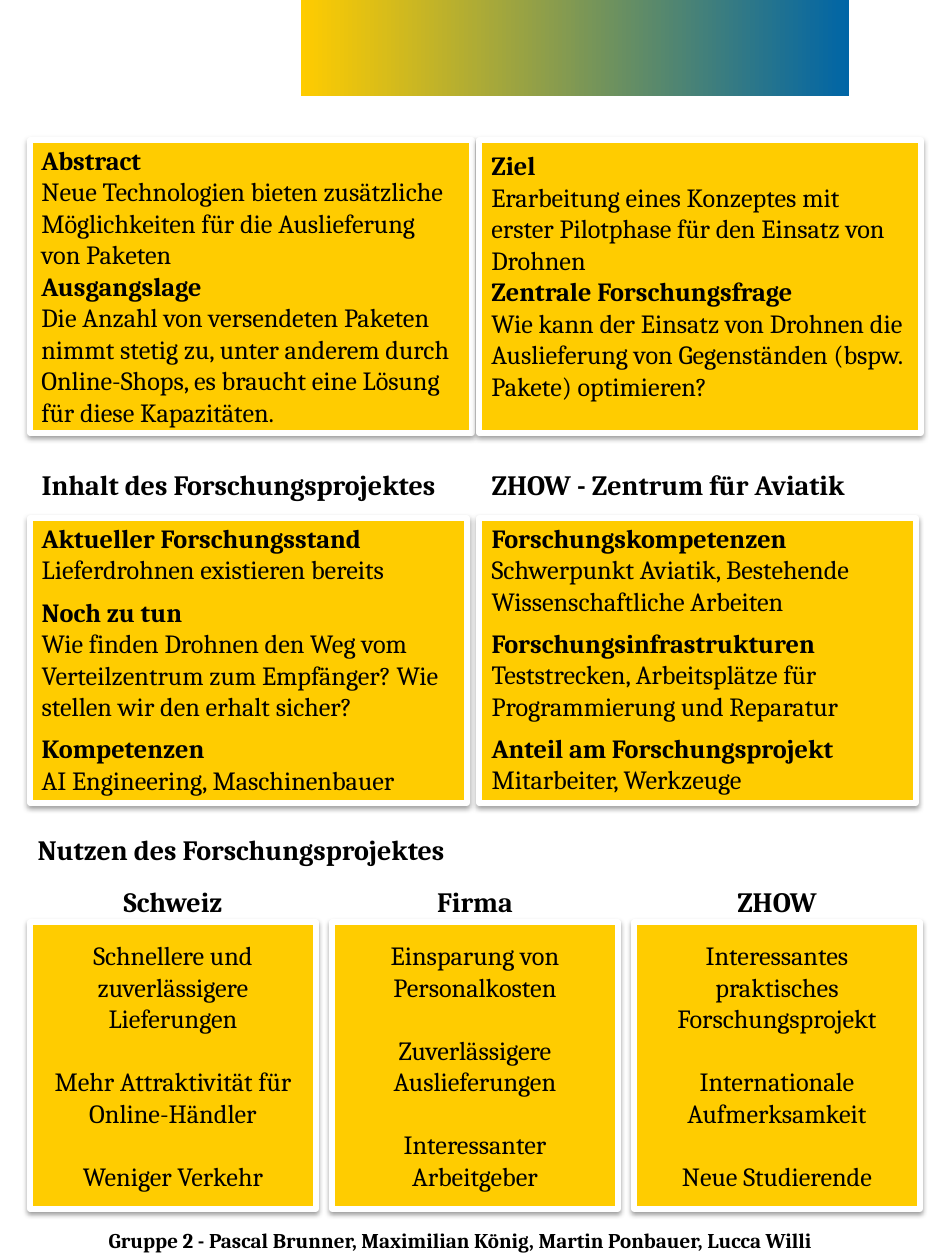
from dataclasses import dataclass
from typing import Any

from lxml import etree
from pptx import Presentation
from pptx import util as u
from pptx.dml.color import RGBColor
from pptx.enum import shapes, text
from pptx.oxml import ns

EMU_PER_PX = 914400 / 126
LEFT, CENTER = text.PP_ALIGN.LEFT, text.PP_ALIGN.CENTER
MIDDLE, TOP = text.MSO_ANCHOR.MIDDLE, text.MSO_ANCHOR.TOP


@dataclass(frozen=True)
class Theme:
    font: str = "Cambria"
    yellow: RGBColor = RGBColor(0xFF, 0xCC, 0x00)
    blue: RGBColor = RGBColor(0x00, 0x65, 0xA6)
    white: RGBColor = RGBColor(0xFF, 0xFF, 0xFF)
    black: RGBColor = RGBColor(0, 0, 0)
    heading: int = 16
    body: int = 15
    footer: int = 12


@dataclass(frozen=True)
class Area:
    left: int
    top: int
    width: int
    height: int

    def emu(self) -> list[u.Emu]:
        return [px(n) for n in (self.left, self.top, self.width, self.height)]


@dataclass(frozen=True)
class Line:
    words: str
    size: int
    bold: bool = False
    after: int = 0


@dataclass(frozen=True)
class Benefit:
    name: str
    points: tuple[str, ...]


THEME = Theme()


def px(length: int) -> u.Emu:
    return u.Emu(round(length * EMU_PER_PX))


def assign(target: Any, values: dict[str, Any]) -> None:
    for name, value in values.items():
        setattr(target, name, value)


def topics(*pairs: tuple[str, str], gap: int = 0) -> list[Line]:
    """Bold topic followed by its plain explanation, for each pair."""
    lines = []
    for number, (topic, detail) in enumerate(pairs, 1):
        lines.append(Line(topic, THEME.body, bold=True))
        lines.append(Line(detail, THEME.body, after=gap if number < len(pairs) else 0))
    return lines


def heading(words: str, after: int = 0) -> Line:
    return Line(words, THEME.heading, bold=True, after=after)


def write(box: Any, lines: list[Line], align: Any = LEFT, anchor: Any = MIDDLE,
          spacing: Any = 1.0) -> None:
    frame = box.text_frame
    assign(frame, {"word_wrap": True, "auto_size": text.MSO_AUTO_SIZE.NONE,
                   "vertical_anchor": anchor})
    for number, line in enumerate(lines):
        para = frame.add_paragraph() if number else frame.paragraphs[0]
        assign(para, {"alignment": align, "line_spacing": spacing,
                      "space_before": u.Pt(0), "space_after": u.Pt(line.after)})
        span = para.add_run()
        span.text = line.words
        assign(span.font, {"name": THEME.font, "size": u.Pt(line.size), "bold": line.bold})
        span.font.color.rgb = THEME.black


def text_box(page: Any, area: Area, lines: list[Line], **format_values: Any) -> None:
    write(page.shapes.add_textbox(*area.emu()), lines, **format_values)


def fill_placeholder(page: Any, index: int, area: Area, lines: list[Line]) -> None:
    """Move a template placeholder in front of the panels and fill it without bullets."""
    box = page.placeholders[index]
    assign(box, dict(zip(("left", "top", "width", "height"), area.emu())))
    page.shapes._spTree.append(box._element)
    write(box, lines)
    for para in box.text_frame.paragraphs:
        properties = para._p.get_or_add_pPr()
        properties.set("marL", "0")
        properties.set("indent", "0")
        etree.SubElement(properties, ns.qn("a:buNone"))


def panel(page: Any, area: Area) -> Any:
    """Yellow card with a white frame and a soft shadow below."""
    box = page.shapes.add_shape(shapes.MSO_SHAPE.RECTANGLE, *area.emu())
    box.fill.solid()
    box.fill.fore_color.rgb = THEME.yellow
    box.line.color.rgb = THEME.white
    box.line.width = u.Pt(3)
    box.shadow.inherit = False
    effects = box._element.spPr.find(ns.qn("a:effectLst"))
    shadow = etree.SubElement(effects, ns.qn("a:outerShdw"), blurRad=str(u.Pt(3.1)),
                              dist=str(u.Pt(1.6)), dir="5400000", rotWithShape="0")
    color = etree.SubElement(shadow, ns.qn("a:srgbClr"), val="000000")
    etree.SubElement(color, ns.qn("a:alpha"), val="38000")
    return box


def banner(page: Any, area: Area) -> None:
    box = page.shapes.add_shape(shapes.MSO_SHAPE.RECTANGLE, *area.emu())
    box.shadow.inherit = False
    box.line.fill.background()
    box.fill.gradient()
    box.fill.gradient_angle = 0
    for stop, position, color in zip(box.fill.gradient_stops, (0, 1),
                                     (THEME.yellow, THEME.blue)):
        stop.position = position
        stop.color.rgb = color


def benefit_column(page: Any, left: int, benefit: Benefit) -> None:
    points = [Line(words, THEME.body, after=18 if words != benefit.points[-1] else 0)
              for words in benefit.points]
    write(panel(page, Area(left, 922, 286, 287)), points, align=CENTER)
    text_box(page, Area(left, 874, 286, 54), [heading(benefit.name)], align=CENTER)


BENEFITS = (
    Benefit("Schweiz", ("Schnellere und zuverlässigere Lieferungen",
                        "Mehr Attraktivität für Online-Händler", "Weniger Verkehr")),
    Benefit("Firma", ("Einsparung von Personalkosten", "Zuverlässigere Auslieferungen",
                      "Interessanter Arbeitgeber")),
    Benefit("ZHOW", ("Interessantes praktisches Forschungsprojekt",
                     "Internationale Aufmerksamkeit", "Neue Studierende")),
)


def main() -> None:
    deck = Presentation()
    assign(deck, {"slide_width": px(945), "slide_height": px(1260)})
    page = deck.slides.add_slide(deck.slide_layouts[3])

    # Banner and the four upper panels
    banner(page, Area(301, 0, 548, 96))
    for left in (30, 479):
        panel(page, Area(left, 140, 442, 293))
        panel(page, Area(left, 518, 437, 285))

    # Abstract and goal
    text_box(page, Area(29, 141, 441, 290), topics(
        ("Abstract", "Neue Technologien bieten zusätzliche Möglichkeiten für die "
                     "Auslieferung von Paketen"),
        ("Ausgangslage", "Die Anzahl von versendeten Paketen nimmt stetig zu, unter anderem "
                         "durch Online-Shops, es braucht eine Lösung für diese Kapazitäten.")))
    text_box(page, Area(479, 152, 441, 247), topics(
        ("Ziel", "Erarbeitung eines Konzeptes mit erster Pilotphase für den Einsatz "
                 "von Drohnen"),
        ("Zentrale Forschungsfrage", "Wie kann der Einsatz von Drohnen die Auslieferung von "
                                     "Gegenständen (bspw. Pakete) optimieren?")))

    # Project content and research centre
    fill_placeholder(page, 1, Area(29, 474, 437, 315), [
        heading("Inhalt des Forschungsprojektes", after=12), *topics(
            ("Aktueller Forschungsstand", "Lieferdrohnen existieren bereits"),
            ("Noch zu tun", "Wie finden Drohnen den Weg vom Verteilzentrum zum Empfänger? "
                            "Wie stellen wir den erhalt sicher?"),
            ("Kompetenzen", "AI Engineering, Maschinenbauer"), gap=6)])
    fill_placeholder(page, 2, Area(479, 474, 413, 314), [
        heading("ZHOW - Zentrum für Aviatik", after=12), *topics(
            ("Forschungskompetenzen", "Schwerpunkt Aviatik, Bestehende Wissenschaftliche "
                                      "Arbeiten"),
            ("Forschungsinfrastrukturen", "Teststrecken, Arbeitsplätze für Programmierung "
                                          "und Reparatur"),
            ("Anteil am Forschungsprojekt", "Mitarbeiter, Werkzeuge"), gap=6)])

    # Benefits
    fill_placeholder(page, 0, Area(25, 832, 867, 34),
                     [heading("Nutzen des Forschungsprojektes")])
    for number, benefit in enumerate(BENEFITS):
        benefit_column(page, 30 + 302 * number, benefit)

    # Authors
    text_box(page, Area(29, 1226, 863, 34), [
        Line("Gruppe 2 - Pascal Brunner, Maximilian König, Martin Ponbauer, Lucca Willi",
             THEME.footer, bold=True)], align=CENTER, anchor=TOP, spacing=u.Pt(12))

    deck.save("out.pptx")


if __name__ == "__main__":
    main()
